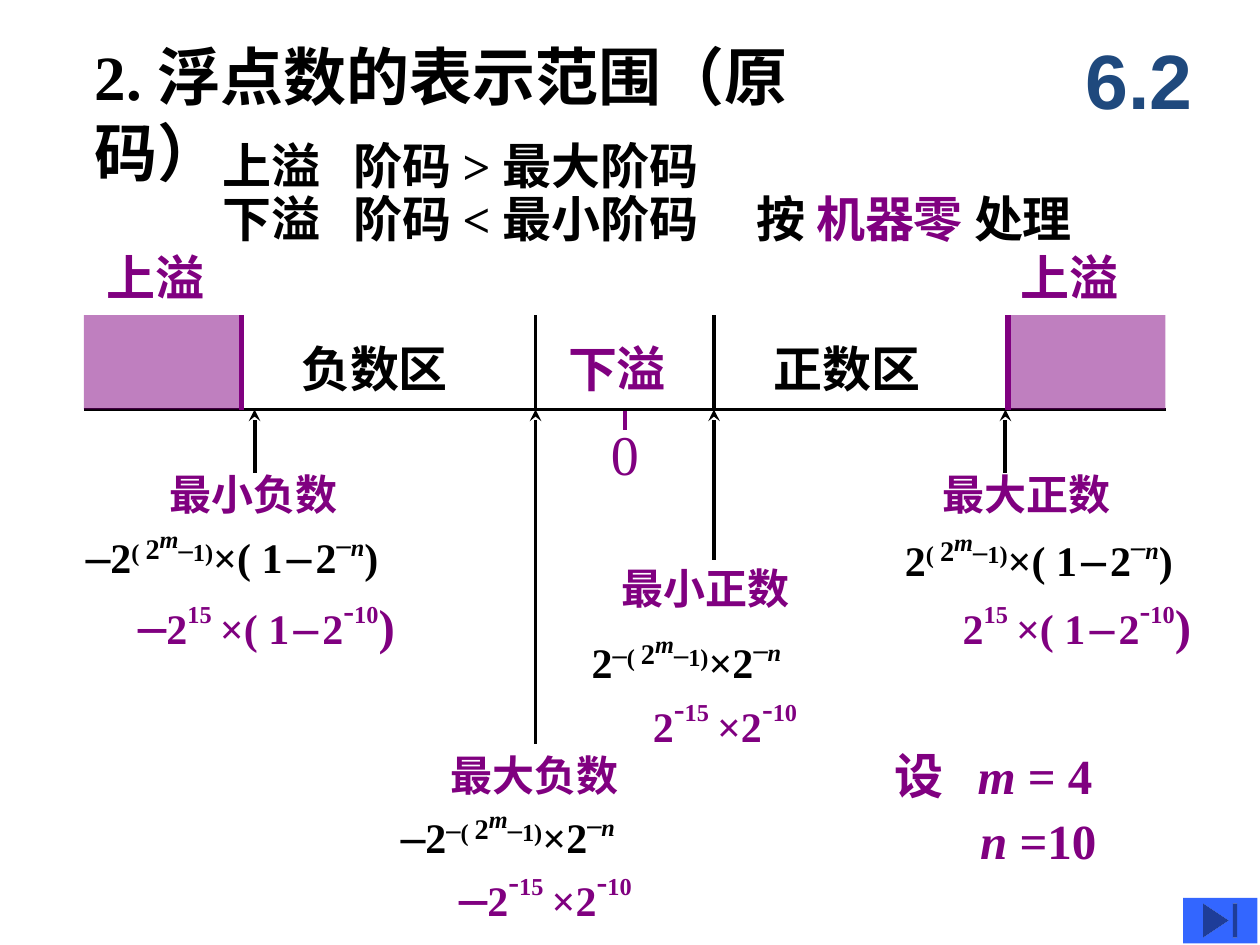
from lxml import etree
from pptx import Presentation
from pptx.dml.color import RGBColor
from pptx.enum import shapes, text
from pptx.oxml import ns
from pptx.util import Pt

BLACK = RGBColor(0x00, 0x00, 0x00)
PURPLE = RGBColor(0x80, 0x00, 0x80)
NAVY = RGBColor(0x1F, 0x49, 0x7D)
BLUE = RGBColor(0x33, 0x66, 0xFF)
SERIF = "Times New Roman"
AXIS = 234
TOP = 180
MID = 306

EXP = [("( ", 24, 30), ("2", 28, 30), ("m", 24, 60, True),
       ("–", 28, 30), ("1)", 24, 30)]
ONE = [("×( 1", 24), (" ", 10), ("–", 28), (" ", 10), ("2", 24)]
FRAC = [("–", 28, 40), ("n", 24, 40, True)]
TEN = [("-", 32, 40), ("10", 24, 50)]
GAP = (" ", 32, 30)
TWO = ("2", 24)
BIG = [TWO] + EXP + ONE + FRAC + [(")", 24)]
SMALL = [TWO, ("–", 28, 30)] + EXP + [("×2", 24)] + FRAC
BIGVAL = [TWO, ("15", 24, 50), GAP] + ONE + TEN + [(")", 28)]
TINYVAL = [TWO, ("-", 32, 40), ("15", 24, 50), GAP, ("×2", 24)] + TEN


def style(run, size, color, bold=True, font=SERIF):
    """Set the look of one run."""
    run.font.name, run.font.size, run.font.bold = font, Pt(size), bold
    run.font.color.rgb = color


def box(slide, pos, wrap=True):
    """Add an empty text box at a place in points."""
    shape = slide.shapes.add_textbox(*map(Pt, pos))
    shape.text_frame.word_wrap = wrap
    return shape


def label(slide, pos, words, size, color, bold=True, font=SERIF):
    """Add a one-line label that does not wrap."""
    shape = box(slide, pos, False)
    shape.text_frame.text = words
    style(shape.text_frame.paragraphs[0].runs[0], size, color, bold, font)
    return shape


def fill(para, parts, color):
    """Fill a paragraph with (text, size, raise, italic, color) parts."""
    for part in parts:
        words, size, lift, slant, tint = part + (0, False, color)[len(part) - 2:]
        run = para.add_run()
        run.text = words
        style(run, size, tint)
        run.font.italic = slant
        if lift:
            run._r.get_or_add_rPr().set("baseline", str(lift * 1000))


def rich(slide, pos, parts, color):
    """Add a text box with mixed runs."""
    para = box(slide, pos).text_frame.paragraphs[0]
    fill(para, parts, color)
    return para


def tabs(para, *stops):
    """Set left tab stops in points."""
    rule = etree.SubElement(para._p.get_or_add_pPr(), ns.qn("a:tabLst"))
    for stop in stops:
        etree.SubElement(rule, ns.qn("a:tab"), pos=str(Pt(stop)), algn="l")


def line(slide, x1, y1, x2, y2, color=BLACK, width=2.25, arrow=False):
    """Add a straight line, with an arrowhead at its end if asked."""
    link = slide.shapes.add_connector(
        shapes.MSO_CONNECTOR.STRAIGHT, *map(Pt, (x1, y1, x2, y2)))
    link.line.color.rgb, link.line.width = color, Pt(width)
    if arrow:
        etree.SubElement(link.line._get_or_add_ln(), ns.qn("a:tailEnd"), type="stealth")
    etree.SubElement(link._element.spPr, ns.qn("a:effectLst"))
    return link


def block(slide, kind, pos, color, alpha=100):
    """Add a filled shape without an outline."""
    shape = slide.shapes.add_shape(kind, *map(Pt, pos))
    shape.shadow.inherit = False
    shape.fill.solid()
    shape.fill.fore_color.rgb = color
    shape.line.fill.background()
    if alpha < 100:
        tint = shape._element.spPr.find(".//" + ns.qn("a:srgbClr"))
        etree.SubElement(tint, ns.qn("a:alpha"), val=str(alpha * 1000))


def head(slide):
    """Write the title and the section number."""
    title = slide.shapes.title
    title.left, title.top, title.width, title.height = map(Pt, (46.8, 18, 464.4, 51))
    frame = title.text_frame
    frame.text = "2. 浮点数的表示范围（原码）"
    frame.word_wrap, frame.auto_size = True, text.MSO_AUTO_SIZE.NONE
    frame.vertical_anchor = text.MSO_ANCHOR.TOP
    frame.paragraphs[0].alignment = text.PP_ALIGN.LEFT
    style(frame.paragraphs[0].runs[0], 36, BLACK)
    mark = label(slide, (606, 12, 90, 66), "6.2", 44, NAVY, font="Arial")
    mark.text_frame.vertical_anchor = text.MSO_ANCHOR.MIDDLE
    mark.text_frame.paragraphs[0].alignment = text.PP_ALIGN.CENTER


def rules(slide):
    """Write the two overflow rules."""
    frame = box(slide, (120, 83.5, 534, 66)).text_frame
    frame.margin_top = Pt(5.76)
    rows = [[("上溢\t阶码 > 最大阶码", 28)],
            [("下溢\t阶码 < 最小阶码\t按 ", 28),
             ("机器零 ", 28, 0, False, PURPLE), ("处理", 28)]]
    for i, row in enumerate(rows):
        para = frame.add_paragraph() if i else frame.paragraphs[0]
        para.line_spacing, para.space_before = 0.6, Pt(10 * i)
        tabs(para, 75, 305)
        fill(para, row, BLACK)


def axis(slide):
    """Draw the number line with its zones."""
    line(slide, 357, AXIS + 11.5, 357, AXIS, PURPLE)
    line(slide, 48, AXIS, 666, AXIS)
    for x in (MID, 408):
        line(slide, x, TOP, x, AXIS)
    for x, edge in ((48, 138), (576, 576)):
        line(slide, edge, TOP, edge, AXIS, PURPLE, 3)
        block(slide, shapes.MSO_SHAPE.RECTANGLE, (x, TOP, 90, AXIS - TOP), PURPLE, 50)
    for x, y, wide, words, color in (
            (165, 190, 98.6, "负数区", BLACK), (435, 190, 98.6, "正数区", BLACK),
            (317.5, 190, 70.6, "下溢", PURPLE),
            (54, 138, 70.6, "上溢", PURPLE), (576, 138, 70.6, "上溢", PURPLE)):
        label(slide, (x, y, wide, 41), words, 28, color)
    label(slide, (342, 236, 30, 45), "0", 32, PURPLE, False)


def limits(slide):
    """Name the four limits and point each one at the axis."""
    for x, y, words, tip, base in (
            (90, 264, "最小负数", 145.5, 270), (250.25, 425, "最大负数", MID, 425),
            (531.5, 264, "最大正数", 574.5, 270), (348, 318, "最小正数", 408, 320)):
        name = label(slide, (x, y, 111.5, 36), words, 24, PURPLE)
        link = line(slide, tip, base, tip, AXIS, arrow=True)
        if tip == MID:
            link.begin_connect(name, 0)


def sums(slide):
    """Write the formulas and their values."""
    minus, dash = [("–", 28)], [("–", 32)]
    for pos, parts, color in (
            ((42, 296, 234, 41), minus + BIG, BLACK),
            ((222, 456, 192, 41), minus + SMALL, BLACK),
            ((510, 297.5, 210, 41), BIG, BLACK),
            ((331, 356, 180, 36), SMALL, BLACK),
            ((72, 333, 204, 45), dash + BIGVAL, PURPLE),
            ((255.5, 488, 174, 45), dash + TINYVAL, PURPLE),
            ((543, 333, 204, 41), BIGVAL, PURPLE),
            ((366, 389, 174, 36), TINYVAL, PURPLE),
            ((546, 459.5, 204, 41), [(" ", 28), ("n", 28, 0, True), (" =10", 28)], PURPLE)):
        rich(slide, pos, parts, color)
    para = rich(slide, (504, 422.5, 204, 41),
                [("设\t", 28), ("m", 28, 0, True), (" = 4", 28)], PURPLE)
    tabs(para, 47.5)


def main():
    """Build the slide and save it."""
    deck = Presentation()
    deck.slide_width, deck.slide_height = Pt(720), Pt(540)
    slide = deck.slides.add_slide(deck.slide_layouts[5])
    head(slide)
    rules(slide)
    axis(slide)
    limits(slide)
    sums(slide)
    block(slide, shapes.MSO_SHAPE.ACTION_BUTTON_END, (676, 513, 42.5, 26), BLUE)
    deck.save("out.pptx")


if __name__ == "__main__":
    main()
